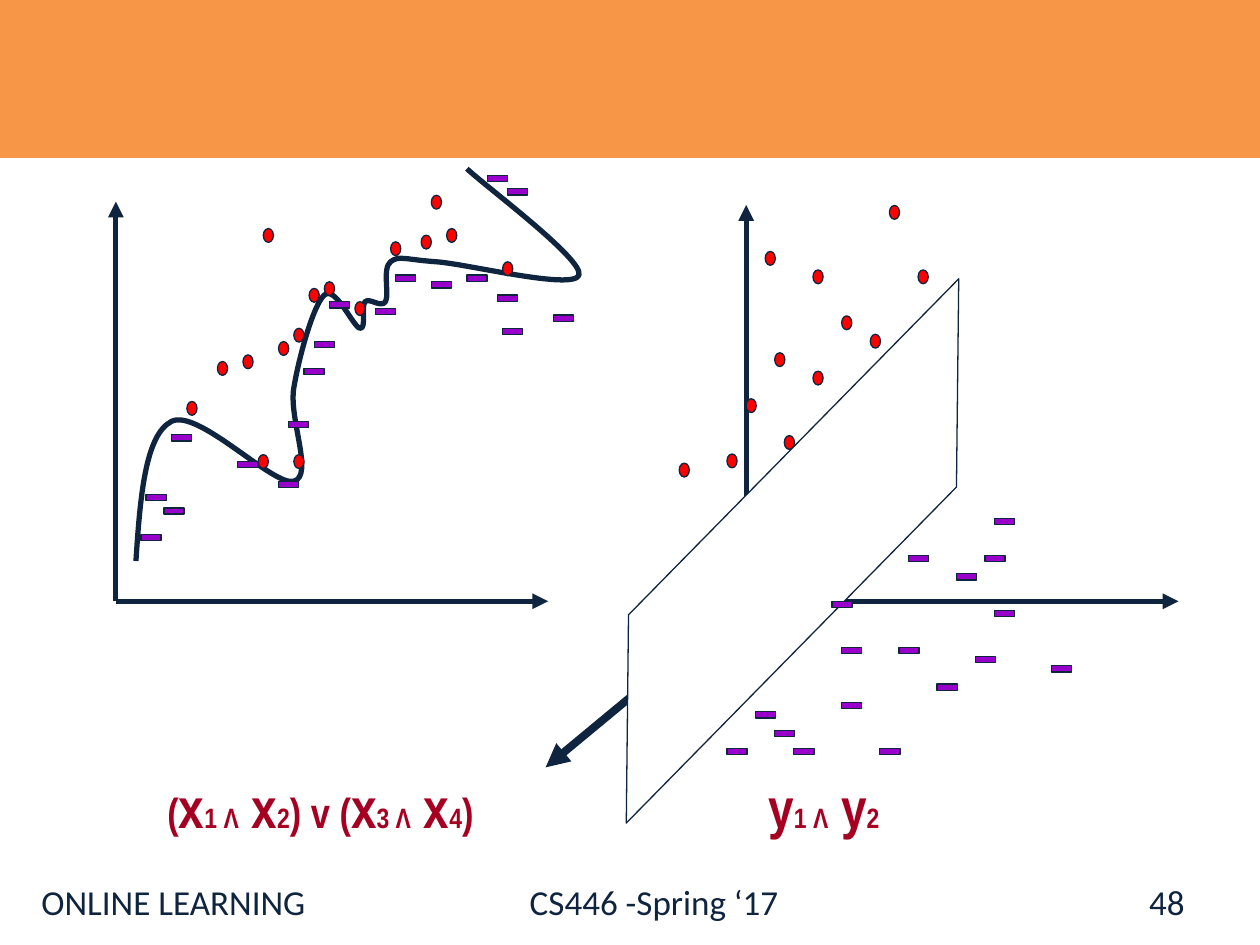
from dataclasses import dataclass

from lxml import etree
from pptx import Presentation
from pptx.dml.color import RGBColor
from pptx.enum.shapes import MSO_CONNECTOR, MSO_SHAPE
from pptx.enum.text import MSO_ANCHOR, PP_ALIGN
from pptx.oxml.ns import qn
from pptx.util import Pt

STRAIGHT = MSO_CONNECTOR.STRAIGHT
RECTANGLE, OVAL = MSO_SHAPE.RECTANGLE, MSO_SHAPE.OVAL
PARALLELOGRAM = MSO_SHAPE.PARALLELOGRAM
LEFT, RIGHT = PP_ALIGN.LEFT, PP_ALIGN.RIGHT
TOP, MIDDLE = MSO_ANCHOR.TOP, MSO_ANCHOR.MIDDLE

NAVY, ORANGE, RED = "0F243E", "F79646", "FF0000"
PURPLE, CRIMSON, WHITE = "9900CC", "A50021", "FFFFFF"
LARGE, MEDIUM, SMALL = 32, 24, 16


@dataclass
class Grid:
    """Turns a column and row of a plot into points on the slide."""
    left: float
    top: float
    column_step: float
    row_step: float

    def point(self, column, row):
        return self.left + column * self.column_step, self.top + row * self.row_step


# Each plot places its marks on a grid: {row: columns of the marks in it}
ORIGINAL_SPACE = Grid(80.6, 100.2, 2.91, 3.8)
ORIGINAL_POSITIVES = {
    3: [57], 8: [24, 60], 9: [55], 10: [49], 13: [71], 16: [36], 17: [33],
    19: [42], 23: [30], 25: [27], 27: [20], 28: [15], 34: [9], 42: [23, 30],
}
ORIGINAL_NEGATIVES = {
    0: [68], 2: [72], 15: [50, 64], 16: [57], 18: [70], 19: [37], 20: [46],
    21: [81], 23: [71], 25: [34], 29: [32], 37: [29], 39: [6], 43: [19],
    46: [27], 48: [1], 50: [4.5], 54: [0],
}
# Points the boundary passes through, and the point its start heads away from
BOUNDARY_KNOTS = [(-1, 58), (6, 37), (30, 46), (30, 32), (36, 18), (43, 23),
                  (44, 19), (48, 19), (49, 13), (58, 13), (86, 15), (64, -1)]
BOUNDARY_LEAD_IN = (1, 95)

TRANSFORMED_SPACE = Grid(388.1, 117.4, 5.46, 5.26)
TRANSFORMED_POSITIVES = {
    0: [22], 5: [9], 7: [14, 25], 12: [17], 14: [20], 16: [10], 18: [14],
    21: [7], 25: [11], 27: [5], 28: [0],
}
TRANSFORMED_NEGATIVES = {
    34: [33], 38: [24, 32], 40: [29], 43: [16], 44: [33], 48: [17, 23],
    49: [31], 50: [39], 52: [27], 54: [17], 55: [8], 57: [10], 59: [5, 12, 21],
}


def rgb(color):
    return RGBColor.from_string(color)


def spline_controls(knots, lead_in):
    """Yield two controls and an end per segment; tangents run parallel to
    the line between the neighbours of each knot (Catmull-Rom)."""
    padded = [lead_in, *knots, knots[-1]]
    for before, start, end, after in zip(padded, padded[1:], padded[2:], padded[3:]):
        yield tuple(s + (e - b) / 6 for b, s, e in zip(before, start, end))
        yield tuple(e - (a - s) / 6 for s, e, a in zip(start, end, after))
        yield end


class Board:
    """Holds the slide and the common style of its elements."""

    def __init__(self, slide):
        self.shapes = slide.shapes

    def shape(self, kind, left, top, width, height, fill, line=NAVY):
        shape = self.shapes.add_shape(kind, Pt(left), Pt(top), Pt(width), Pt(height))
        shape.shadow.inherit = False
        shape.fill.solid()
        shape.fill.fore_color.rgb = rgb(fill)
        shape.line.color.rgb = rgb(line)
        shape.line.width = Pt(0.75)
        return shape

    def marks(self, grid, columns_by_row, kind, width, height, fill):
        for row, columns in columns_by_row.items():
            for column in columns:
                self.shape(kind, *grid.point(column, row), width, height, fill)

    def positives(self, grid, columns_by_row):
        self.marks(grid, columns_by_row, OVAL, 5.8, 7.9, RED)

    def negatives(self, grid, columns_by_row):
        self.marks(grid, columns_by_row, RECTANGLE, 11.5, 3.6, PURPLE)

    def arrow(self, start, end, width=3):
        arrow = self.shapes.add_connector(STRAIGHT, *map(Pt, start + end))
        arrow.line.color.rgb = rgb(NAVY)
        arrow.line.width = Pt(width)
        etree.SubElement(arrow.line._get_or_add_ln(), qn("a:tailEnd"), type="triangle")
        etree.SubElement(arrow._element.spPr, qn("a:effectLst"))

    def axes(self, origin, up, across):
        x, y = origin
        self.arrow(origin, (x, y - up))
        self.arrow(origin, (x + across, y))

    def curve(self, grid, knots, lead_in):
        def place(knot):
            return tuple(map(Pt, grid.point(*knot)))

        builder = self.shapes.build_freeform(*place(knots[0]))
        builder.add_line_segments(map(place, spline_controls(knots, lead_in)), close=False)
        curve = builder.convert_to_shape()
        curve.shadow.inherit = False
        curve.fill.background()
        curve.line.color.rgb = rgb(NAVY)
        curve.line.width = Pt(3)
        # Turn each three line segments into one cubic Bézier segment
        segments = list(curve._element.iter(qn("a:lnTo")))
        for first in range(0, len(segments), 3):
            bezier = etree.Element(qn("a:cubicBezTo"))
            segments[first].addprevious(bezier)
            for segment in segments[first:first + 3]:
                bezier.append(segment[0])
                segment.getparent().remove(segment)

    def text_box(self, left, top, width, height, wrap=True, anchor=TOP):
        frame = self.shapes.add_textbox(
            Pt(left), Pt(top), Pt(width), Pt(height)).text_frame
        frame.word_wrap = wrap
        frame.vertical_anchor = anchor
        return frame.paragraphs[0]

    def footer(self, text, box, align=LEFT, anchor=TOP, tab=None):
        paragraph = self.text_box(*box, anchor=anchor)
        paragraph.text = text
        paragraph.alignment = align
        if tab:
            tabs = etree.SubElement(paragraph._p.get_or_add_pPr(), qn("a:tabLst"))
            etree.SubElement(tabs, qn("a:tab"), pos=str(Pt(tab)), algn="l")
        paragraph.font.name = "Calibri"
        paragraph.font.size = Pt(20)
        paragraph.font.color.rgb = rgb(NAVY)

    def formula(self, pieces, left, width):
        paragraph = self.text_box(left, 437.8, width, 45.4, wrap=False)
        for text, size in pieces:
            run = paragraph.add_run()
            run.text = text
            run.font.name = "Arial Narrow"
            run.font.size = Pt(size)
            run.font.bold = True
            run.font.color.rgb = rgb(CRIMSON)


def conjunction(variable, first, second):
    """Pieces of a formula that joins two indexed variables with Λ."""
    return [(variable, LARGE), (f"{first} Λ", SMALL),
            (f" {variable}", LARGE), (str(second), SMALL)]


def main():
    deck = Presentation()
    deck.slide_width, deck.slide_height = Pt(720), Pt(540)
    board = Board(deck.slides.add_slide(deck.slide_layouts[6]))

    # Header band and footer
    board.shape(RECTANGLE, 0, 0, 720, 90, ORANGE, ORANGE)
    board.footer("ONLINE LEARNING\tCS446 -Spring ‘17", (16.6, 499.7, 691, 40), tab=279)
    board.footer("48", (516.2, 500.8, 167.8, 28.8), RIGHT, MIDDLE)

    # Original space: curved boundary
    board.axes((66.2, 343.6), up=228.4, across=247)
    board.curve(ORIGINAL_SPACE, BOUNDARY_KNOTS, BOUNDARY_LEAD_IN)
    board.positives(ORIGINAL_SPACE, ORIGINAL_POSITIVES)
    board.negatives(ORIGINAL_SPACE, ORIGINAL_NEGATIVES)

    # Transformed space: a plane separates the marks
    origin = (426.4, 343.6)
    board.axes(origin, up=226.4, across=247)
    board.arrow(origin, (311.8, 438.5), width=4.5)
    board.positives(TRANSFORMED_SPACE, TRANSFORMED_POSITIVES)
    plane = board.shape(PARALLELOGRAM, 275.4, 273.6, 355, 82.5, WHITE)
    plane.adjustments[0] = 1.04
    plane.rotation = 314.5
    board.negatives(TRANSFORMED_SPACE, TRANSFORMED_NEGATIVES)

    # Formulas under the two plots
    board.formula([("(", MEDIUM), *conjunction("x", 1, 2), (") v (", MEDIUM),
                   *conjunction("x", 3, 4), (")", MEDIUM)], 88.6, 193.5)
    board.formula(conjunction("y", 1, 2), 432, 79.9)

    deck.save("out.pptx")


if __name__ == "__main__":
    main()
